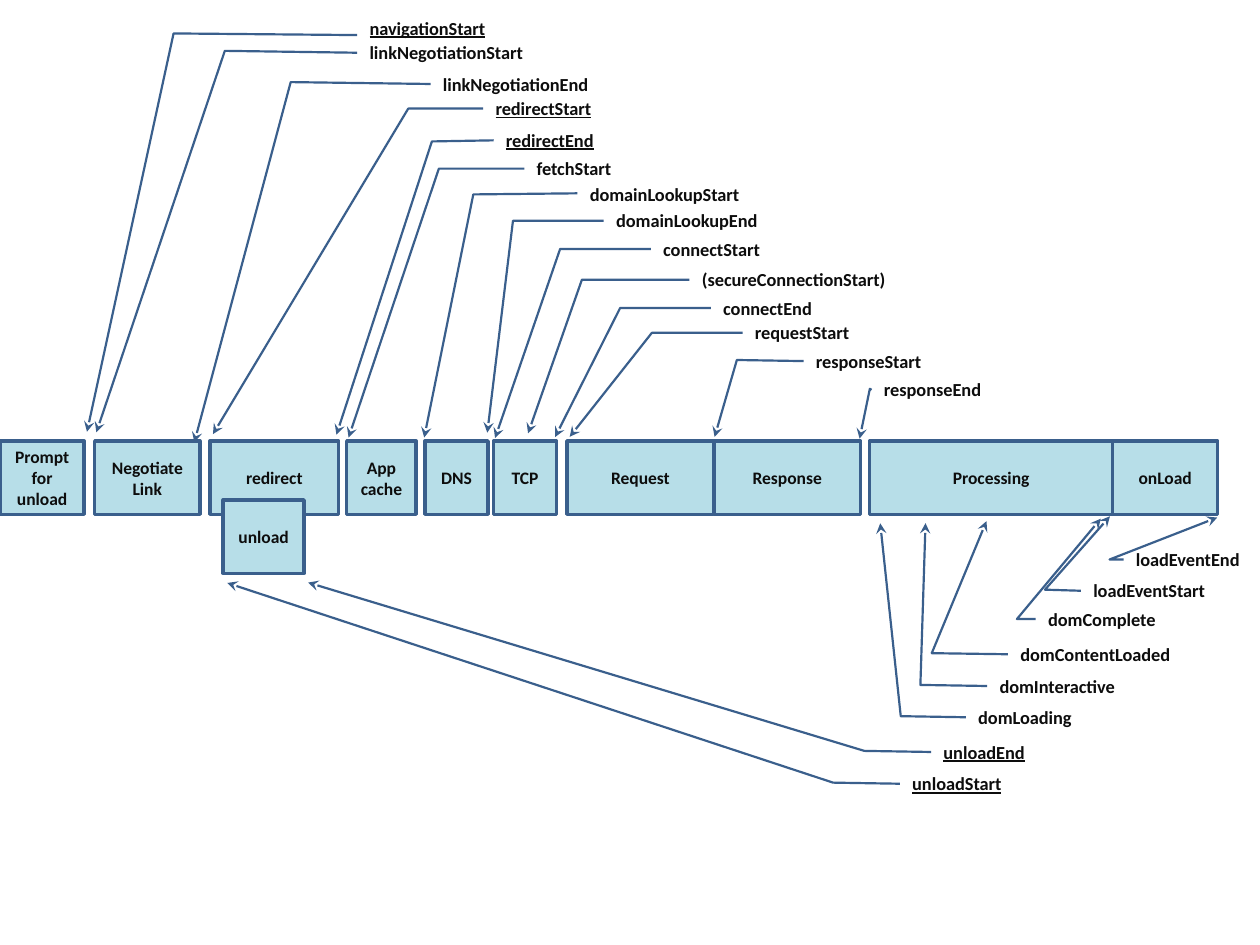
from pptx import Presentation
from pptx.dml.color import RGBColor
from pptx.enum.shapes import MSO_SHAPE as SHAPE
from pptx.enum.text import MSO_ANCHOR as ANCHOR, PP_ALIGN as ALIGN
from pptx.oxml import parse_xml
from pptx.oxml.ns import nsdecls, qn
from pptx.util import Cm, Pt


def rgb(value):
    return RGBColor.from_string(value)


def add_text(text, kind, x, y, w, h, size=10, align=ALIGN.CENTER,
             fill="B7DEE8", weight=2, underline=None, margin=0.2):
    s = prs.slides[0].shapes.add_shape(kind, Cm(x), Cm(y), Cm(w), Cm(h))
    s.shadow.inherit = False
    s.fill.solid()
    s.fill.fore_color.rgb = rgb(fill)
    s.line.color.rgb = rgb("3A5F8C")
    s.line.width = Pt(weight)
    tf = s.text_frame
    tf.word_wrap = True
    tf.vertical_anchor = ANCHOR.MIDDLE
    tf.margin_left = tf.margin_right = Cm(margin)
    tf.text = text
    for p in tf.paragraphs:
        p.alignment = align
        for r in p.runs:
            r.font.name = "Calibri"
            r.font.size = Pt(size)
            r.font.bold = True
            r.font.underline = underline
            r.font.color.rgb = rgb("0D0D0D")
    return s


prs = Presentation()
prs.slide_width, prs.slide_height = Cm(25.4), Cm(19.05)
prs.slides.add_slide(prs.slide_layouts[6])

phases = [
    ("Prompt for unload", 0, 1.7),
    ("Negotiate\nLink", 1.91, 2.12),
    ("redirect", 4.23, 2.6),
    ("App cache", 6.99, 1.4),
    ("DNS", 8.57, 1.27),
    ("TCP", 9.95, 1.27),
    ("Request", 11.43, 2.96),
    ("Response", 14.39, 2.96),
    ("onLoad", 22.43, 2.12),
    ("Processing", 17.53, 4.9),
]
for text, x, w in phases:
    add_text(text, SHAPE.RECTANGLE, x, 8.89, w, 1.48)
add_text("unload", SHAPE.RECTANGLE, 4.5, 10.08, 1.63, 1.48)

events = [
    ("loadEventStart", 21.79, 11.63, 3.45, 0.55, (0.51, 0.47, -0.21, -2.22, 0.17)),
    ("redirectStart", 9.74, 1.91, 2.96, 0.55, (0.51, 0.51, -0.51, 12.44, -1.84)),
    ("fetchStart", 10.57, 3.12, 3.25, 0.55, (0.51, 0.51, -0.53, 10.37, -1.09)),
    ("domainLookupStart", 11.64, 3.64, 3.96, 0.55, (0.47, 0.51, -0.53, 9.42, -0.78)),
    ("domainLookupEnd", 12.17, 4.17, 3.45, 0.55, (0.51, 0.51, -0.53, 8.28, -0.68)),
    ("connectStart", 13.12, 4.74, 3.45, 0.55, (0.51, 0.51, -0.53, 7.44, -0.91)),
    ("connectEnd", 14.33, 5.93, 3.45, 0.55, (0.51, 0.51, -0.53, 5.24, -0.91)),
    ("requestStart", 14.97, 6.43, 3.45, 0.55, (0.51, 0.51, -0.53, 4.32, -1.01)),
    ("responseStart", 16.2, 7, 3.45, 0.55, (0.51, 0.47, -0.39, 3.29, -0.52)),
    ("responseEnd", 17.57, 7.58, 3.45, 0.55, (0.51, 0.47, -0.01, 2.3, -0.07)),
    ("unloadStart", 18.14, 15.52, 3.45, 0.55, (0.51, 0.47, -0.39, -6.85, -3.93)),
    ("unloadEnd", 18.77, 14.88, 3.45, 0.55, (0.51, 0.47, -0.39, -5.7, -3.64)),
    ("domLoading", 19.47, 14.18, 3.45, 0.55, (0.51, 0.47, -0.38, -6.6, -0.5)),
    ("domInteractive", 19.9, 13.55, 3.45, 0.55, (0.51, 0.47, -0.39, -5.46, -0.36)),
    ("domContentLoaded", 20.32, 12.91, 3.94, 0.55, (0.51, 0.47, -0.39, -4.37, -0.11)),
    ("domComplete", 20.88, 12.2, 3.45, 0.55, (0.51, 0.51, -0.11, -3.17, 0.38)),
    ("loadEventEnd", 22.65, 11, 2.82, 0.55, (0.51, 0.51, -0.1, -1.03, 0.67)),
    ("redirectEnd", 9.95, 2.55, 2.96, 0.55, (0.51, 0.55, -0.42, 11.3, -1.07)),
    ("navigationStart", 7.2, 0.29, 2.96, 0.55, (0.76, 0.7, -1.25, 15.3, -1.84)),
    ("(secureConnectionStart)", 13.9, 5.36, 4.52, 0.55, (0.51, 0.51, -0.48, 6.14, -0.72)),
    ("linkNegotiationStart", 7.2, 0.85, 3.81, 0.42, (0.51, 0.42, -0.7, 18.73, -1.38)),
    ("linkNegotiationEnd", 8.68, 1.48, 3.81, 0.42, (0.51, 0.42, -0.74, 17.71, -1.25)),
]
underlined = {"navigationStart", "redirectStart", "redirectEnd", "unloadStart", "unloadEnd"}
for text, x, y, w, h, (y1, y2, x2, y3, x3) in events:
    s = add_text(text, SHAPE.LINE_CALLOUT_2_NO_BORDER, x, y, w, h, size=10.5,
                 align=ALIGN.LEFT, fill="FFFFFF", weight=1.25,
                 underline=text in underlined or None, margin=0.25)
    for i, value in enumerate((y1, 0, y2, x2, y3, x3)):
        s.adjustments[i] = value
    ln = s.element.spPr.find(qn("a:ln"))
    ln.append(parse_xml(f'<a:tailEnd {nsdecls("a")} type="stealth"/>'))

prs.save("out.pptx")
